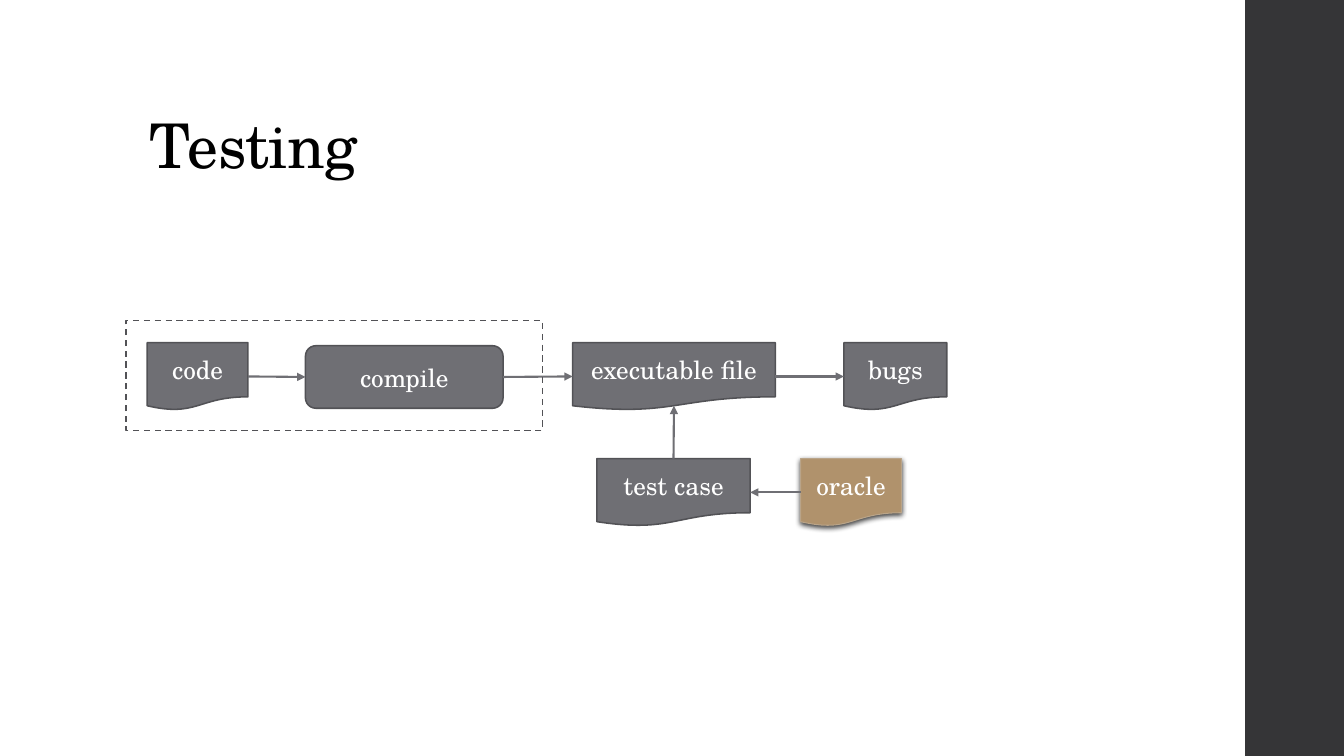
from dataclasses import dataclass

from lxml.etree import SubElement
from pptx import Presentation
from pptx.dml.color import RGBColor
from pptx.enum.dml import MSO_LINE
from pptx.enum.shapes import MSO_CONNECTOR, MSO_SHAPE
from pptx.enum.text import MSO_ANCHOR, PP_ALIGN
from pptx.oxml import parse_xml
from pptx.oxml.ns import nsdecls, qn
from pptx.util import Inches, Pt


@dataclass(frozen=True)
class Theme:
    font: str = "TeX Gyre Schola"
    title_size: float = 44
    label_size: float = 18
    title: str = "000000"
    label: str = "FFFFFF"
    band: str = "353537"
    step: str = "6F6F74"
    outline: str = "525256"
    accent: str = "B0926C"
    accent_outline: str = "B9A489"
    outline_width: float = 1.1
    accent_width: float = 0.75
    arrow_width: float = 1.5


THEME = Theme()
TOP, LEFT, BOTTOM, RIGHT = range(4)  # connection sites
DOCUMENT_BASE = 0.934  # height of a document's wavy edge at its centre


def color(value):
    return RGBColor.from_string(value)


def style_text(paragraph, size, value):
    font = paragraph.runs[0].font
    font.name, font.size = THEME.font, Pt(size)
    font.color.rgb = color(value)


def add_box(slide, kind, box, fill=None, outline=None, width=THEME.outline_width):
    shape = slide.shapes.add_shape(kind, *map(Inches, box))
    shape.shadow.inherit = False
    if fill:
        shape.fill.solid()
        shape.fill.fore_color.rgb = color(fill)
    else:
        shape.fill.background()
    if outline:
        shape.line.color.rgb = color(outline)
        shape.line.width = Pt(width)
    else:
        shape.line.fill.background()
    return shape


def add_step(slide, text, box, kind=MSO_SHAPE.FLOWCHART_DOCUMENT,
             fill=THEME.step, outline=THEME.outline, width=THEME.outline_width):
    step = add_box(slide, kind, box, fill, outline, width)
    frame = step.text_frame
    frame.text = text
    frame.word_wrap = True
    frame.vertical_anchor = MSO_ANCHOR.MIDDLE
    frame.paragraphs[0].alignment = PP_ALIGN.CENTER
    style_text(frame.paragraphs[0], THEME.label_size, THEME.label)
    return step


def add_drop_shadow(shape):
    effects = shape._element.spPr.find(qn("a:effectLst"))
    effects.append(parse_xml(
        f'<a:outerShdw {nsdecls("a")} blurRad="{Pt(4)}" dist="{Pt(1.2)}" '
        'dir="5400000" algn="ctr" rotWithShape="0">'
        '<a:srgbClr val="000000"><a:alpha val="75000"/></a:srgbClr></a:outerShdw>'))


def add_arrow(slide, source, source_site, target, target_site):
    arrow = slide.shapes.add_connector(MSO_CONNECTOR.STRAIGHT, 0, 0, 0, 0)
    arrow.begin_connect(source, source_site)
    arrow.end_connect(target, target_site)
    if target_site == BOTTOM:
        arrow.end_y = target.top + int(target.height * DOCUMENT_BASE)
    arrow.line.color.rgb = color(THEME.step)
    arrow.line.width = Pt(THEME.arrow_width)
    SubElement(arrow.line._get_or_add_ln(), qn("a:tailEnd"), type="triangle")
    SubElement(arrow._element.spPr, qn("a:effectLst"))


def build_title(slide, box):
    frame = slide.shapes.add_textbox(*map(Inches, box)).text_frame
    frame.text = "Testing"
    frame.word_wrap = True
    frame.vertical_anchor = MSO_ANCHOR.BOTTOM
    heading = frame.paragraphs[0]
    heading.line_spacing = 0.9
    style_text(heading, THEME.title_size, THEME.title)
    heading.runs[0].font._element.set("spc", "-50")


def build_flow(slide, box):
    left, top, _, _ = box
    height = 0.67
    upper, lower = top + 0.22, top + 1.37

    # Main row: from code to bugs
    code = add_step(slide, "code", (left + 0.21, upper, 1, height))
    compile_step = add_step(slide, "compile", (left + 1.78, upper + 0.03, 1.96, 0.62),
                            MSO_SHAPE.ROUNDED_RECTANGLE)
    executable = add_step(slide, "executable file", (left + 4.43, upper, 2.01, height))
    bugs = add_step(slide, "bugs", (left + 7.12, upper, 1.02, height))

    # Lower row: test inputs and expected results
    test_case = add_step(slide, "test case", (left + 4.67, lower, 1.52, height))
    oracle = add_step(slide, "oracle", (left + 6.69, lower, 1, height),
                      fill=THEME.accent, outline=THEME.accent_outline,
                      width=THEME.accent_width)
    add_drop_shadow(oracle)

    # Arrows
    for link in ((code, RIGHT, compile_step, LEFT),
                 (compile_step, RIGHT, executable, LEFT),
                 (executable, RIGHT, bugs, LEFT),
                 (test_case, TOP, executable, BOTTOM),
                 (oracle, LEFT, test_case, RIGHT)):
        add_arrow(slide, *link)

    # Dashed frame around the build steps
    build_frame = add_box(slide, MSO_SHAPE.RECTANGLE, (left, top, 4.13, 1.09),
                          outline=THEME.outline)
    build_frame.line.dash_style = MSO_LINE.DASH


def main():
    deck = Presentation()
    deck.slide_width, deck.slide_height = Inches(13.33), Inches(7.5)
    slide = deck.slides.add_slide(deck.slide_layouts[6])
    add_box(slide, MSO_SHAPE.RECTANGLE, (12.35, 0, 0.98, 7.5), THEME.band)
    build_title(slide, (1.38, 0.4, 10.6, 1.45))
    build_flow(slide, (1.25, 3.18, 8.14, 2.04))
    deck.save("out.pptx")


if __name__ == "__main__":
    main()
